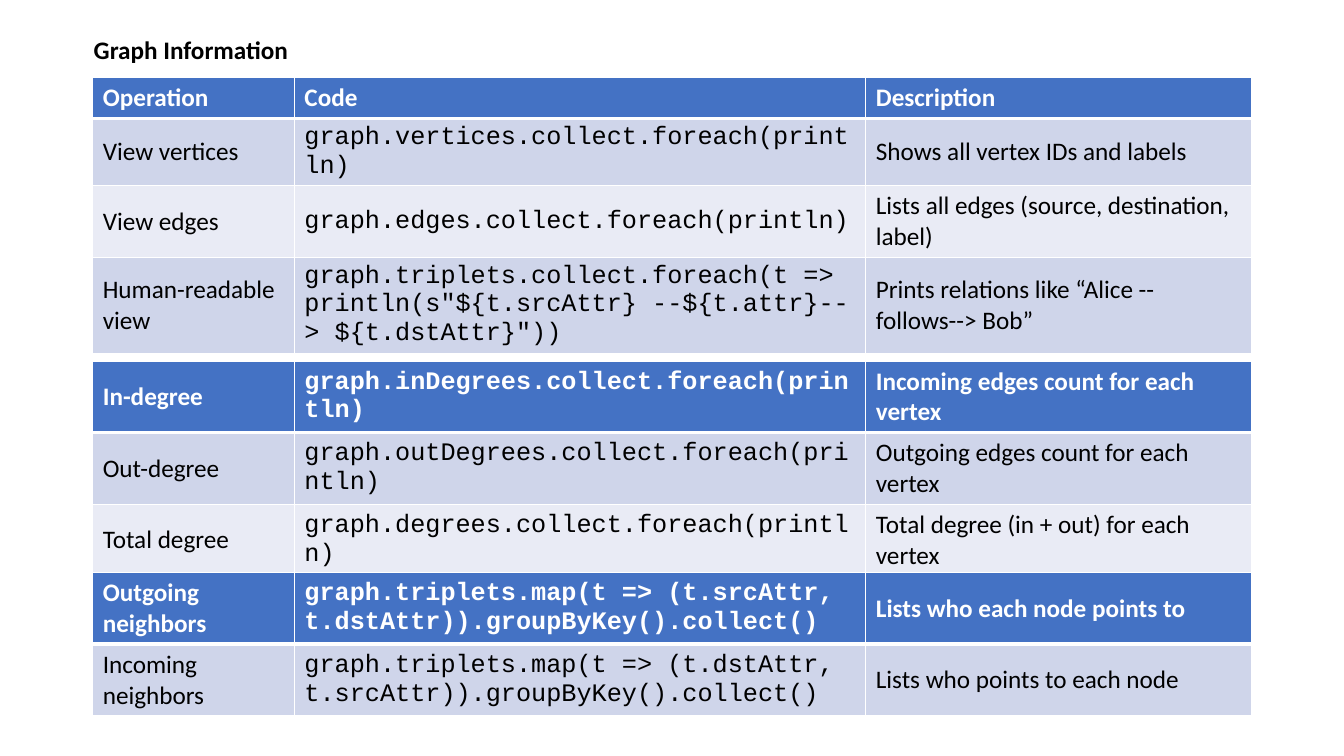
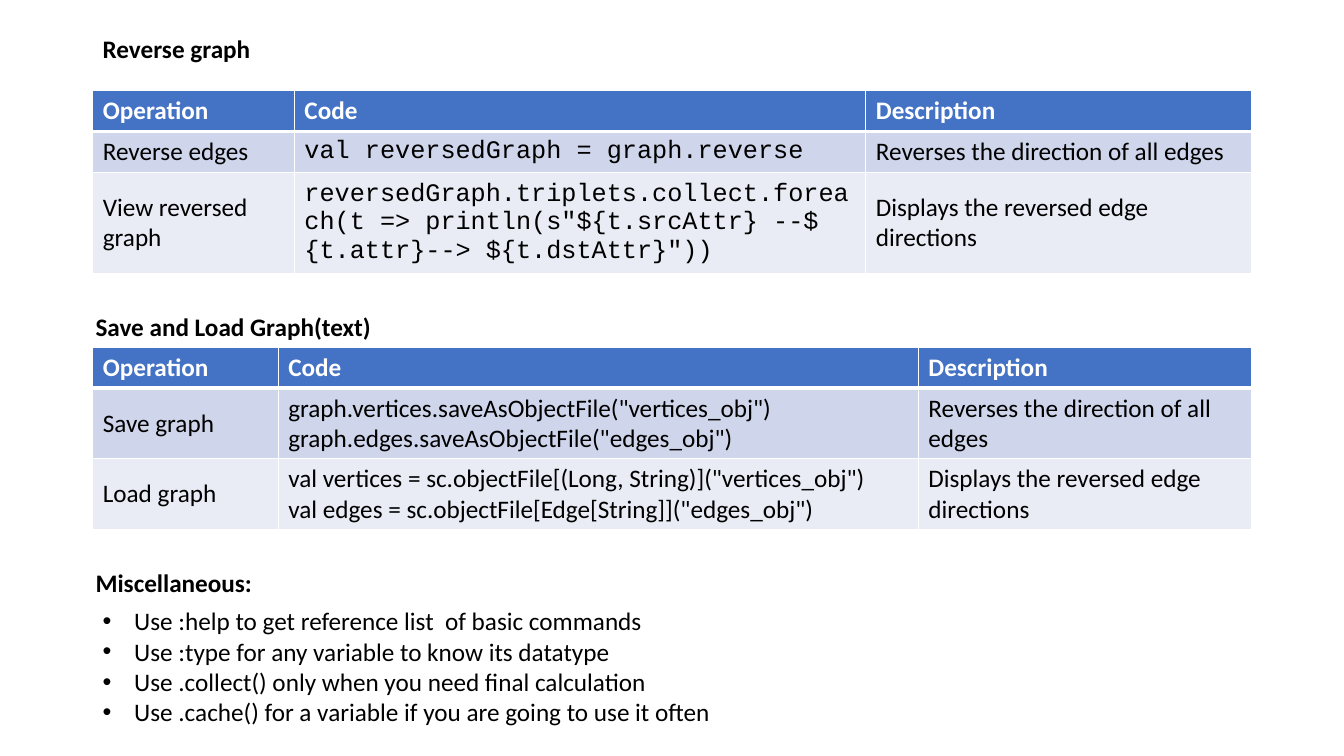
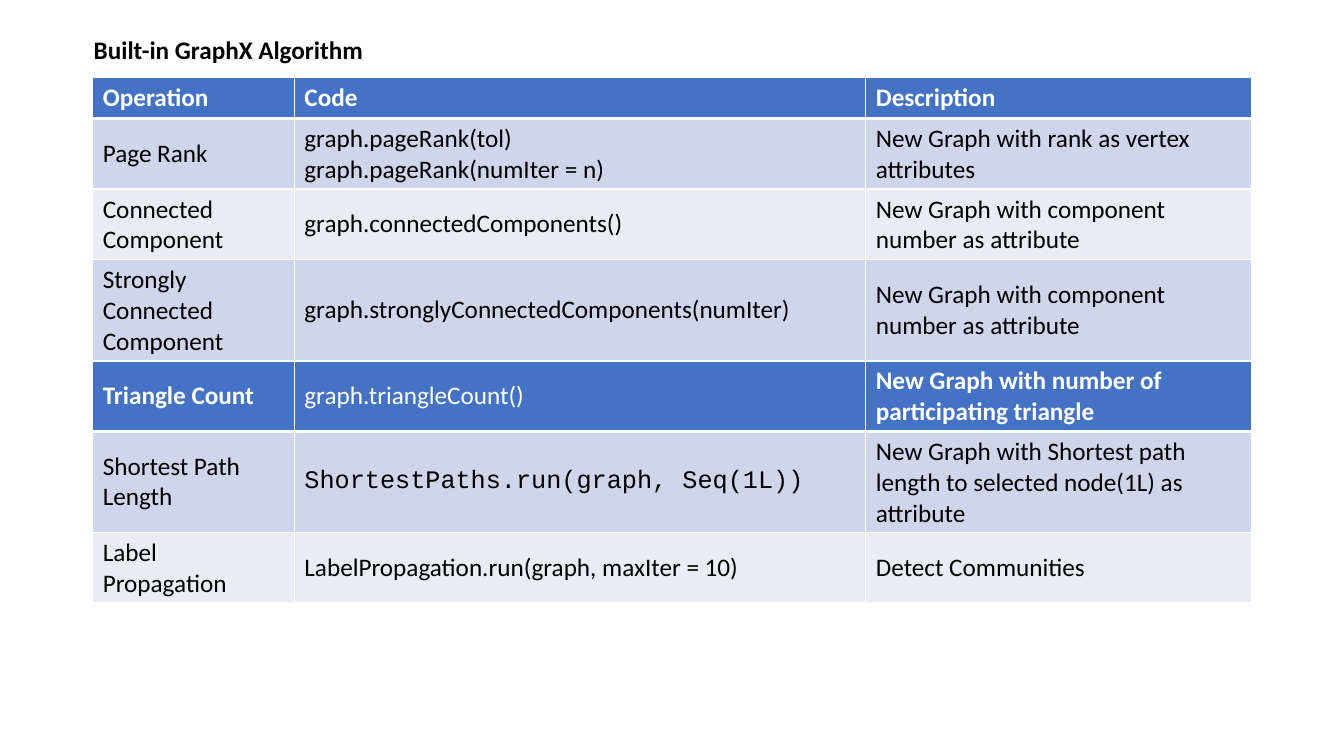
"""Build three slides of graph commands as tables with headings and tips."""
from dataclasses import dataclass

from lxml import etree
from pptx import Presentation
from pptx.dml.color import RGBColor
from pptx.enum.text import MSO_ANCHOR, MSO_AUTO_SIZE
from pptx.oxml.ns import qn
from pptx.util import Pt

MIDDLE = MSO_ANCHOR.MIDDLE
GROW = MSO_AUTO_SIZE.SHAPE_TO_FIT_TEXT


@dataclass(frozen=True)
class Theme:
    header: str = "4472C4"
    bands: tuple = ("E9EBF5", "CFD5EA")
    light: str = "FFFFFF"
    dark: str = "000000"
    font: str = "Calibri"
    mono: str = "Courier New"
    size: float = 18
    thin: float = 1
    thick: float = 3
    left: float = 66.24
    row: float = 29.2
    heading_width: float = 279.5
    heading_height: float = 29.1
    bullet_indent: float = 22.5


T = Theme()
WIDE = (144, 408.2, 275.8)
NARROW = (132.5, 457.2, 238.3)
HEADER = ("Operation", "Code", "Description")
NOT_BOLD = {"graph.triangleCount()"}

SLIDES = [
    {
        "texts": [("Graph Information", 59.9, 20.9)],
        "tables": [
            (55.4, WIDE, range(1, 4), [
                HEADER,
                ("View vertices", "graph.vertices.collect.foreach(println)",
                 "Shows all vertex IDs and labels"),
                ("View edges", "graph.edges.collect.foreach(println)",
                 "Lists all edges (source, destination, label)"),
                ("Human-readable view",
                 'graph.triplets.collect.foreach(t => println(s"${t.srcAttr} --${t.attr}--> ${t.dstAttr}"))',
                 "Prints relations like “Alice --follows--> Bob”"),
            ]),
            (257.8, WIDE, range(3), [
                ("In-degree", "graph.inDegrees.collect.foreach(println)",
                 "Incoming edges count for each vertex"),
                ("Out-degree", "graph.outDegrees.collect.foreach(println)",
                 "Outgoing edges count for each vertex"),
                ("Total degree", "graph.degrees.collect.foreach(println)",
                 "Total degree (in + out) for each vertex"),
            ]),
            (409, WIDE, range(2), [
                ("Outgoing neighbors",
                 "graph.triplets.map(t => (t.srcAttr, t.dstAttr)).groupByKey().collect()",
                 "Lists who each node points to"),
                ("Incoming neighbors",
                 "graph.triplets.map(t => (t.dstAttr, t.srcAttr)).groupByKey().collect()",
                 "Lists who points to each node"),
            ]),
        ],
    },
    {
        "texts": [("Reverse graph", 66.24, 20.2),
                  ("Save and Load Graph(text)", 61.2, 218.9),
                  ("Miscellaneous:", 61.2, 401.8)],
        "tables": [
            (64.8, WIDE, range(1, 3), [
                HEADER,
                ("Reverse edges", "val reversedGraph = graph.reverse",
                 "Reverses the direction of all edges"),
                ("View reversed graph",
                 'reversedGraph.triplets.collect.foreach(t => println(s"${t.srcAttr} --${t.attr}--> ${t.dstAttr}"))',
                 "Displays the reversed edge directions"),
            ]),
            (248, NARROW, (), [
                HEADER,
                ("Save graph",
                 'graph.vertices.saveAsObjectFile("vertices_obj")\n'
                 'graph.edges.saveAsObjectFile("edges_obj")',
                 "Reverses the direction of all edges"),
                ("Load graph",
                 'val vertices = sc.objectFile[(Long, String)]("vertices_obj")\n'
                 'val edges = sc.objectFile[Edge[String]]("edges_obj")',
                 "Displays the reversed edge directions"),
            ]),
        ],
    },
    {
        "texts": [("Built-in GraphX Algorithm", 59.9, 20.9)],
        "tables": [
            (55.4, WIDE, (), [
                HEADER,
                ("Page Rank", "graph.pageRank(tol)\ngraph.pageRank(numIter = n)",
                 "New Graph with rank as vertex attributes"),
                ("Connected Component", "graph.connectedComponents()",
                 "New Graph with component number as attribute"),
                ("Strongly Connected Component",
                 "graph.stronglyConnectedComponents(numIter)",
                 "New Graph with component number as attribute"),
            ]),
            (257.8, WIDE, (1,), [
                ("Triangle Count", "graph.triangleCount()",
                 "New Graph with number of participating triangle"),
                ("Shortest Path Length", "ShortestPaths.run(graph, Seq(1L))",
                 "New Graph with Shortest path length to selected node(1L) as attribute"),
                ("Label Propagation", "LabelPropagation.run(graph, maxIter = 10)",
                 "Detect Communities"),
            ]),
        ],
    },
]

TIPS = """Use :help to get reference list  of basic commands
Use :type for any variable to know its datatype
Use .collect() only when you need final calculation
Use .cache() for a variable if you are going to use it often"""


def write(tf, text, font=T.font, color=T.dark, bold=False, bullet=False):
    """Fill a text frame with one paragraph per line of text."""
    tf.word_wrap = True
    for i, line in enumerate(text.split("\n")):
        p = tf.add_paragraph() if i else tf.paragraphs[0]
        r = p.add_run()
        r.text = line
        r.font.name = font
        r.font.size = Pt(T.size)
        r.font.bold = bold
        r.font.color.rgb = RGBColor.from_string(color)
        if bullet:
            pPr = p._p.get_or_add_pPr()
            pPr.set("marL", str(Pt(T.bullet_indent)))
            pPr.set("indent", str(-Pt(T.bullet_indent)))
            etree.SubElement(pPr, qn("a:buFont"), typeface="Arial")
            etree.SubElement(pPr, qn("a:buChar"), char="•")


def add_border(cell, side, width):
    """Draw one side of a table cell in the light colour."""
    ln = etree.SubElement(cell._tc.get_or_add_tcPr(), qn("a:ln" + side), w=str(Pt(width)))
    fill = etree.SubElement(ln, qn("a:solidFill"))
    etree.SubElement(fill, qn("a:srgbClr"), val=T.light)


prs = Presentation()
prs.slide_width, prs.slide_height = Pt(960), Pt(540)

for content in SLIDES:
    s = prs.slides.add_slide(prs.slide_layouts[6])
    for top, widths, mono_rows, rows in content["tables"]:
        table = s.shapes.add_table(len(rows), len(widths), Pt(T.left), Pt(top),
                                   Pt(sum(widths)), Pt(T.row * len(rows))).table
        table.horz_banding = False
        table.first_row = False
        for column, width in zip(table.columns, widths):
            column.width = Pt(width)
        for i, row in enumerate(rows):
            table.rows[i].height = Pt(T.row)
            head = i == 0
            for j, text in enumerate(row):
                cell = table.cell(i, j)
                cell.vertical_anchor = MIDDLE
                add_border(cell, "L", T.thin)
                add_border(cell, "R", T.thin)
                add_border(cell, "T", T.thick if i == 1 else T.thin)
                add_border(cell, "B", T.thick if head else T.thin)
                cell.fill.solid()
                cell.fill.fore_color.rgb = RGBColor.from_string(T.header if head else T.bands[i % 2])
                write(cell.text_frame, text,
                      font=T.mono if j == 1 and i in mono_rows else T.font,
                      color=T.light if head else T.dark,
                      bold=head and text not in NOT_BOLD)
    for text, left, top in content["texts"]:
        sp = s.shapes.add_textbox(Pt(left), Pt(top), Pt(T.heading_width), Pt(T.heading_height))
        sp.text_frame.auto_size = GROW
        write(sp.text_frame, text, bold=True)

sp = prs.slides[1].shapes.add_textbox(Pt(T.left), Pt(429.1), Pt(486), Pt(94.3))
sp.text_frame.auto_size = GROW
write(sp.text_frame, TIPS, bullet=True)

prs.save("out.pptx")
